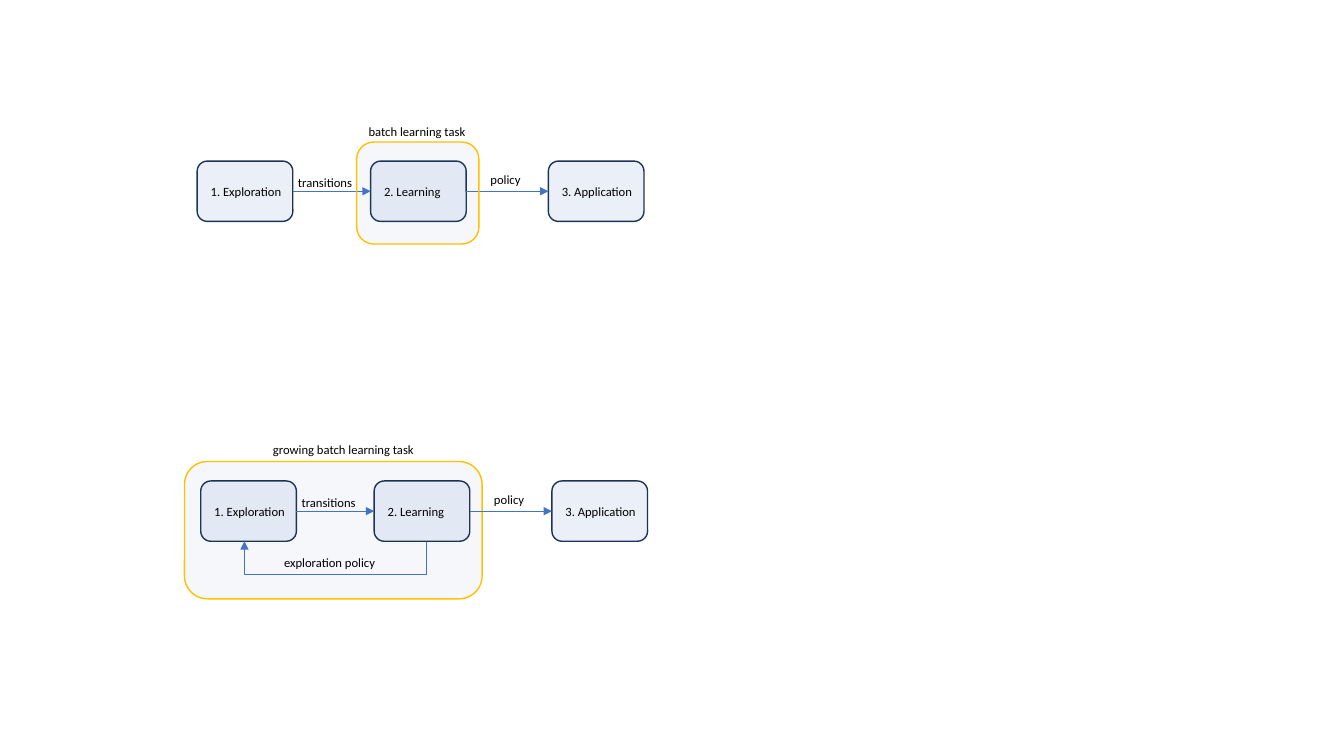
from pptx import Presentation
from pptx.dml.color import RGBColor
from pptx.enum import shapes, text
from pptx.oxml import parse_xml
from pptx.oxml.ns import nsdecls, qn
from pptx.util import Cm, Pt

BLUE, NAVY, GOLD, BLACK = "4472C4", "1E3256", "FFC000", "000000"
STEP_WIDTH, STEP_HEIGHT = 2.41, 1.52
# name, offset from the first step, label width
STEPS = [("1. Exploration", 0, 2.31), ("2. Learning", 4.37, 1.96), ("3. Application", 8.85, 2.31)]


def paint(color_format, color):
    color_format.rgb = RGBColor.from_string(color)


def add_label(group, content, left, top, width, size=9, font="Calibri", color=BLACK):
    box = group.shapes.add_textbox(Cm(left), Cm(top), Cm(width), Cm(0.64))
    frame = box.text_frame
    frame.word_wrap = False
    frame.auto_size = text.MSO_AUTO_SIZE.SHAPE_TO_FIT_TEXT
    span = frame.paragraphs[0].add_run()
    span.text = content
    span.font.size = Pt(size)
    span.font.name = font
    paint(span.font.color, color)


def add_panel(group, left, top, width, height, outline, opacity):
    """Rounded box with a translucent blue fill; opacity is in percent."""
    panel = group.shapes.add_shape(
        shapes.MSO_SHAPE.ROUNDED_RECTANGLE, Cm(left), Cm(top), Cm(width), Cm(height))
    panel.shadow.inherit = False
    panel.fill.solid()
    paint(panel.fill.fore_color, BLUE)
    fill_color = panel.fill._xPr.find(qn("a:solidFill"))[0]
    fill_color.append(parse_xml(f'<a:alpha {nsdecls("a")} val="{opacity * 1000}"/>'))
    paint(panel.line.color, outline)
    panel.line.width = Pt(1)


def add_line(group, start, end, arrow=True):
    line = group.shapes.add_connector(
        shapes.MSO_CONNECTOR.STRAIGHT, *(Cm(value) for value in start + end))
    paint(line.line.color, BLUE)
    line.line.width = Pt(0.5)
    properties = line._element.spPr
    if arrow:
        properties.find(qn("a:ln")).append(
            parse_xml(f'<a:tailEnd {nsdecls("a")} type="triangle"/>'))
    properties.append(parse_xml(f'<a:effectLst {nsdecls("a")}/>'))
    return line


def add_return_arrow(group, left, top, right, bottom):
    """Arrow from bottom right, along the bottom, up to top left."""
    properties = add_line(group, (left, top), (right, bottom))._element.spPr
    properties.find(qn("a:prstGeom")).set("prst", "bentConnector2")
    properties.find(qn("a:xfrm")).set("rot", "10800000")


def add_process(group, left, top):
    """Three steps joined by labelled arrows."""
    for name, offset, width in STEPS:
        add_panel(group, left + offset, top, STEP_WIDTH, STEP_HEIGHT, NAVY, 10)
        add_label(group, name, left + offset + 0.09, top + 0.46, width)
    middle = top + STEP_HEIGHT / 2
    for (_, offset, _), (_, next_offset, _) in zip(STEPS, STEPS[1:]):
        add_line(group, (left + offset + STEP_WIDTH, middle), (left + next_offset, middle))
    add_label(group, "transitions", left + 2.29, top + 0.23, 1.9)
    add_label(group, "policy", left + 7.14, top + 0.15, 1.3)


def add_batch_task(slide):
    group = slide.shapes.add_group_shape()
    add_process(group, 4.97, 4.06)
    add_panel(group, 8.99, 3.58, 3.08, 2.57, GOLD, 5)
    add_label(group, "batch learning task", 9.04, 3, 2.97)


def add_growing_batch_task(slide):
    group = slide.shapes.add_group_shape()
    add_panel(group, 4.65, 11.63, 7.5, 3.46, GOLD, 5)
    add_process(group, 5.06, 12.12)
    add_label(group, "growing batch learning task", 6.63, 11, 4.11)
    add_return_arrow(group, 6.16, 13.64, 10.74, 14.48)
    add_line(group, (10.74, 14.48), (10.74, 13.66), arrow=False)
    add_label(group, "exploration policy", 6.91, 13.87, 2.84)


def main():
    deck = Presentation()
    deck.slide_width, deck.slide_height = Cm(33.87), Cm(19.05)
    slide = deck.slides.add_slide(deck.slide_layouts[6])
    add_batch_task(slide)
    add_growing_batch_task(slide)
    deck.save("out.pptx")


if __name__ == "__main__":
    main()
